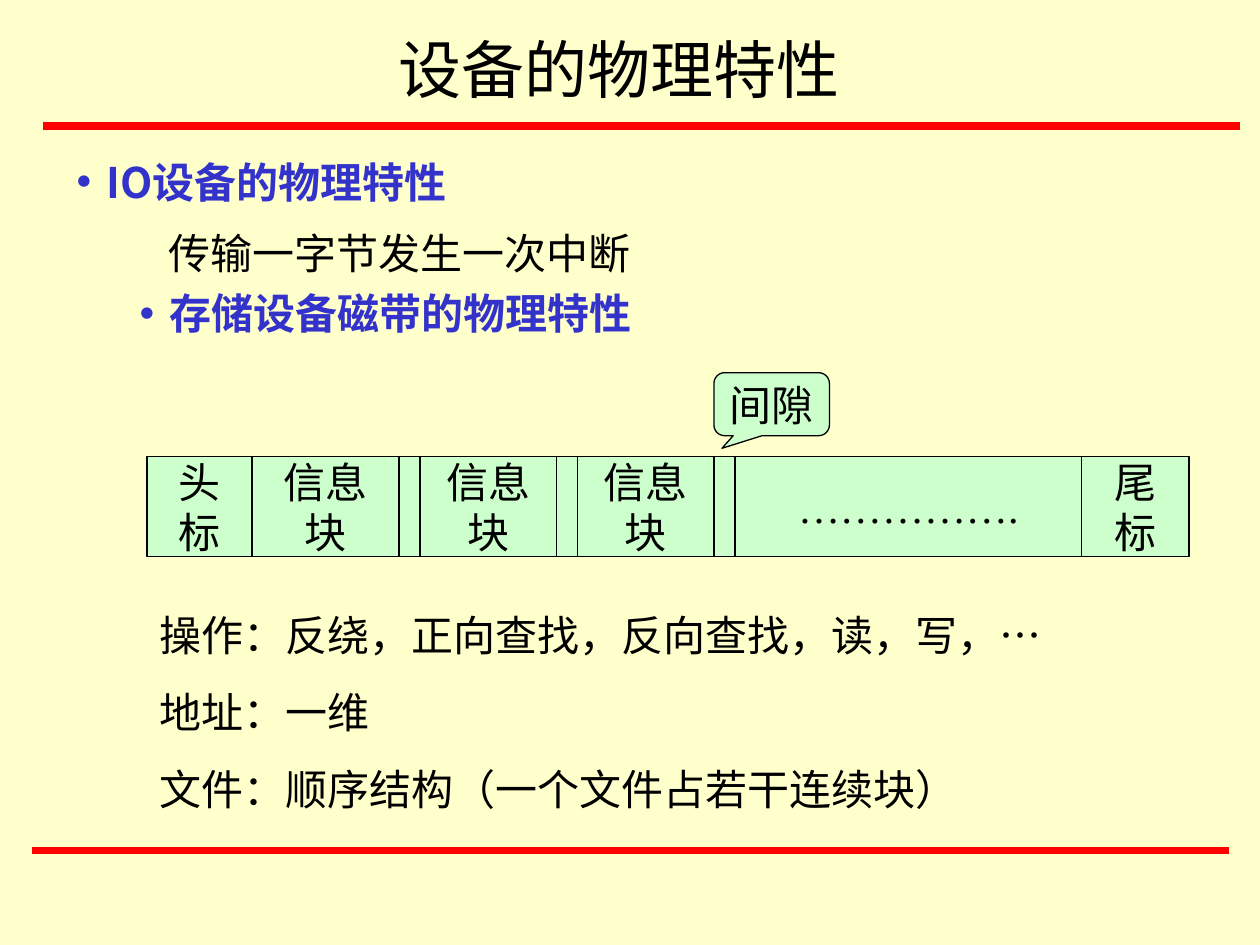
from dataclasses import dataclass

from lxml.etree import SubElement
from pptx import Presentation
from pptx.dml.color import RGBColor
from pptx.enum.shapes import MSO_CONNECTOR, MSO_SHAPE
from pptx.enum.text import MSO_ANCHOR, PP_ALIGN
from pptx.oxml.ns import qn
from pptx.util import Pt

CREAM = RGBColor(0xFF, 0xFF, 0xCC)
RED = RGBColor(0xFF, 0x00, 0x00)
BLUE = RGBColor(0x33, 0x33, 0xCC)
GREEN = RGBColor(0xCC, 0xFF, 0xCC)
BLACK = RGBColor(0x00, 0x00, 0x00)
SERIF = "Times New Roman"
SANS = "Noto Sans CJK SC"


@dataclass(frozen=True)
class Box:
    left: float
    top: float
    width: float
    height: float

    def emu(self) -> list[Pt]:
        return [Pt(v) for v in (self.left, self.top, self.width, self.height)]


@dataclass(frozen=True)
class Para:
    text: str
    size: float = 24
    align: PP_ALIGN = PP_ALIGN.LEFT
    margin: float = 0
    spacing: float = 1.0
    before: float = 0
    heading: bool = False


@dataclass(frozen=True)
class Cell:
    left: float
    right: float
    label: str


BULLET_GAP = 17
TITLE = Para("设备的物理特性", size=36, align=PP_ALIGN.CENTER)
BODY = [
    Para("IO设备的物理特性", margin=17, spacing=1.1, heading=True),
    Para("传输一字节发生一次中断", margin=52.5, spacing=1.2, before=6),
    Para("存储设备磁带的物理特性", margin=53, spacing=1.2, heading=True),
]
NOTES = [Para(text, before=15) for text in (
    "操作：反绕，正向查找，反向查找，读，写，…",
    "地址：一维",
    "文件：顺序结构（一个文件占若干连续块）",
)]
TAPE = Box(84, 261, 595.5, 57)
CELLS = [
    Cell(84, 144, "头标"),
    Cell(144, 228, "信息块"),
    Cell(240, 318, "信息块"),
    Cell(330, 408, "信息块"),
    Cell(420, 618, "……………."),
    Cell(618, 679.5, "尾标"),
]
EDGES = {x for cell in CELLS for x in (cell.left, cell.right)}
DIVIDERS = sorted(EDGES - {TAPE.left, TAPE.left + TAPE.width})


def write(tf, paras: list[Para], anchor: MSO_ANCHOR, wrap: bool) -> None:
    tf.word_wrap = wrap
    tf.vertical_anchor = anchor
    for i, para in enumerate(paras):
        p = tf.paragraphs[0] if i == 0 else tf.add_paragraph()
        p.text = para.text
        p.alignment = para.align
        p.line_spacing = para.spacing
        p.space_before = Pt(para.before)
        set_bullet(p, para)
        for r in p.runs:
            r.font.size = Pt(para.size)
            r.font.bold = para.heading
            r.font.color.rgb = BLUE if para.heading else BLACK
            r.font.name = SANS if para.heading else SERIF
            SubElement(r.font._element, qn("a:ea"), typeface=SANS)


def set_bullet(p, para: Para) -> None:
    """Set the indent, and a bullet on headings."""
    pPr = p._p.get_or_add_pPr()
    pPr.set("marL", str(Pt(para.margin)))
    pPr.set("indent", str(Pt(-BULLET_GAP if para.heading else 0)))
    if para.heading:
        color = SubElement(pPr, qn("a:buClr"))
        SubElement(color, qn("a:srgbClr"), val=str(BLUE))
        SubElement(pPr, qn("a:buFont"), typeface="Arial")
        SubElement(pPr, qn("a:buChar"), char="•")
    else:
        SubElement(pPr, qn("a:buNone"))


def add_text(s, box: Box, paras: list[Para],
             anchor: MSO_ANCHOR = MSO_ANCHOR.TOP, wrap: bool = True) -> None:
    write(s.shapes.add_textbox(*box.emu()).text_frame, paras, anchor, wrap)


def add_green_shape(s, kind: MSO_SHAPE, box: Box):
    sp = s.shapes.add_shape(kind, *box.emu())
    sp.shadow.inherit = False
    sp.fill.solid()
    sp.fill.fore_color.rgb = GREEN
    sp.line.color.rgb = BLACK
    sp.line.width = Pt(0.75)
    return sp


def add_line(s, x1: float, y1: float, x2: float, y2: float,
             color: RGBColor, width: float) -> None:
    line = s.shapes.add_connector(MSO_CONNECTOR.STRAIGHT, Pt(x1), Pt(y1), Pt(x2), Pt(y2))
    line.line.color.rgb = color
    line.line.width = Pt(width)
    SubElement(line._element.spPr, qn("a:effectLst"))


def add_tape(s) -> None:
    add_green_shape(s, MSO_SHAPE.RECTANGLE, TAPE)
    for x in DIVIDERS:
        add_line(s, x, TAPE.top, x, TAPE.top + TAPE.height, BLACK, 0.75)
    for cell in CELLS:
        box = Box(cell.left, TAPE.top, cell.right - cell.left, TAPE.height)
        add_text(s, box, [Para(cell.label, align=PP_ALIGN.CENTER)],
                 MSO_ANCHOR.MIDDLE, wrap=False)


def add_gap_callout(s) -> None:
    sp = add_green_shape(s, MSO_SHAPE.ROUNDED_RECTANGULAR_CALLOUT, Box(408, 213, 66, 36))
    for i, value in enumerate((-0.43, 0.7, 0.17)):
        sp.adjustments[i] = value
    write(sp.text_frame, [Para("间隙", align=PP_ALIGN.CENTER)],
          MSO_ANCHOR.MIDDLE, wrap=False)


def main() -> None:
    prs = Presentation()
    prs.slide_width, prs.slide_height = Pt(720), Pt(540)
    s = prs.slides.add_slide(prs.slide_layouts[6])
    s.background.fill.solid()
    s.background.fill.fore_color.rgb = CREAM

    add_line(s, 18, 486, 702, 486, RED, 4.5)
    add_line(s, 24.5, 72, 708.5, 72, RED, 4.5)
    add_text(s, Box(36.75, 82.8, 630, 136), BODY)
    add_tape(s)
    add_gap_callout(s)
    add_text(s, Box(84, 345, 564, 124), NOTES)
    add_text(s, Box(48, 0, 612, 78), [TITLE], MSO_ANCHOR.MIDDLE)
    prs.save("out.pptx")


if __name__ == "__main__":
    main()
